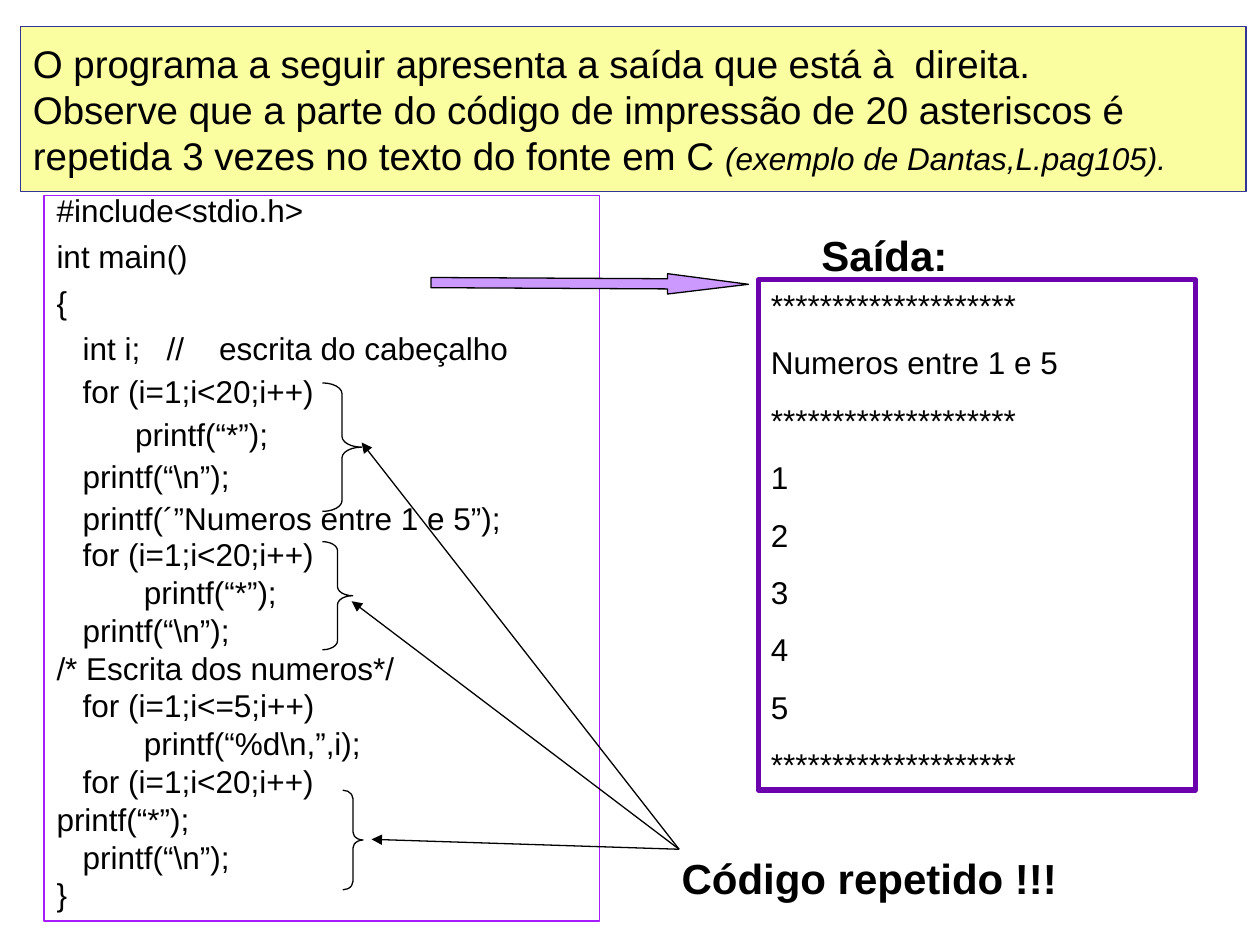
from dataclasses import dataclass

from lxml.etree import SubElement
from pptx import Presentation
from pptx.dml.color import RGBColor
from pptx.enum.shapes import MSO_CONNECTOR, MSO_SHAPE
from pptx.enum.text import MSO_ANCHOR, MSO_AUTO_SIZE, PP_ALIGN
from pptx.oxml.ns import qn
from pptx.util import Cm, Pt

COLORS = {
    "text": "000000",
    "title_fill": "FBFDA1",
    "title_line": "333399",
    "code_line": "A71CFC",
    "output_line": "6C02AE",
    "arrow": "CC99FF",
}


@dataclass
class Box:
    """Position and size in centimetres."""
    x: float
    y: float
    w: float
    h: float

    def emu(self) -> tuple:
        return Cm(self.x), Cm(self.y), Cm(self.w), Cm(self.h)


@dataclass
class Lines:
    """Paragraphs that share their spacing."""
    text: str
    spacing: float = 1.0
    before: float = 0


TITLE = """O programa a seguir apresenta a saída que está à  direita.
Observe que a parte do código de impressão de 20 asteriscos é repetida 3 vezes no texto do fonte em C """

CODE = [
    Lines("""#include<stdio.h>
int main()
{
   int i;   //    escrita do cabeçalho""", 0.7, 11.2),
    Lines(r"""   for (i=1;i<20;i++)
         printf(“*”);
   printf(“\n”);
   printf(´”Numeros entre 1 e 5”);""", 0.6, 11.2),
    Lines(r"""   for (i=1;i<20;i++)
          printf(“*”);
   printf(“\n”);
/* Escrita dos numeros*/
   for (i=1;i<=5;i++)
          printf(“%d\n,”,i);
   for (i=1;i<20;i++)
printf(“*”);
   printf(“\n”);
}"""),
]

STARS = "*" * 20
OUTPUT = [STARS, "Numeros entre 1 e 5", STARS, *"12345", STARS]

BRACES = [
    Box(6.5, 7.72, 0.79, 2.59),
    Box(6.5, 10.92, 0.61, 2.18),
    Box(6.91, 15.93, 0.41, 2.01),
]
POINTER_START = (13.69, 17.12)
POINTER_ENDS = [(7.29, 8.92), (7.09, 12.12), (7.49, 16.92)]


def color(name: str) -> RGBColor:
    return RGBColor.from_string(COLORS[name])


def add_text(p, text: str, size=18, bold=False, italic=False) -> None:
    """Add text to a paragraph, with a line break at each newline."""
    for i, line in enumerate(text.split("\n")):
        if i:
            p.add_line_break()
        r = p.add_run()
        r.text = line
        r.font.name = "Arial"
        r.font.size = Pt(size)
        r.font.bold = bold
        r.font.italic = italic
        r.font.color.rgb = color("text")


def set_line(sp, name: str, width=0.75) -> None:
    sp.line.color.rgb = color(name)
    sp.line.width = Pt(width)


def add_textbox(s, box: Box, groups: list[Lines], **fmt):
    sp = s.shapes.add_textbox(*box.emu())
    tf = sp.text_frame
    tf.word_wrap = True
    first = True
    for group in groups:
        for line in group.text.split("\n"):
            p = tf.paragraphs[0] if first else tf.add_paragraph()
            p.line_spacing = group.spacing
            p.space_before = Pt(0 if first else group.before)
            add_text(p, line, **fmt)
            first = False
    return sp


def add_preset(s, kind: MSO_SHAPE, box: Box, adjustments: list[float]):
    sp = s.shapes.add_shape(kind, *box.emu())
    sp.shadow.inherit = False
    sp.fill.background()
    set_line(sp, "text")
    for i, value in enumerate(adjustments):
        sp.adjustments[i] = value
    return sp


def add_pointer(s, start: tuple, end: tuple) -> None:
    ends = [Cm(v) for v in (*start, *end)]
    line = s.shapes.add_connector(MSO_CONNECTOR.STRAIGHT, *ends)
    set_line(line, "text")
    SubElement(line.line._get_or_add_ln(), qn("a:tailEnd"), type="triangle")
    SubElement(line._element.spPr, qn("a:effectLst"))


def add_title(s, box: Box) -> None:
    sp = s.shapes.title
    sp.left, sp.top, sp.width, sp.height = box.emu()
    sp.fill.solid()
    sp.fill.fore_color.rgb = color("title_fill")
    set_line(sp, "title_line")
    tf = sp.text_frame
    tf.auto_size = MSO_AUTO_SIZE.NONE
    tf.word_wrap = True
    tf.vertical_anchor = MSO_ANCHOR.MIDDLE
    p = tf.paragraphs[0]
    p.alignment = PP_ALIGN.LEFT
    add_text(p, TITLE, size=22)
    add_text(p, "(exemplo de Dantas,L.pag105).", italic=True)


def main() -> None:
    prs = Presentation()
    prs.slide_width, prs.slide_height = Cm(25.4), Cm(19.05)
    s = prs.slides.add_slide(prs.slide_layouts[5])

    add_title(s, Box(0.41, 0.53, 24.71, 3.33))

    # Source code and its output
    code = add_textbox(s, Box(0.89, 3.94, 11.2, 14.63), CODE)
    set_line(code, "code_line")
    arrow = add_preset(s, MSO_SHAPE.RIGHT_ARROW, Box(8.69, 5.51, 6.4, 0.41), [0.5, 3.98])
    arrow.fill.solid()
    arrow.fill.fore_color.rgb = color("arrow")
    arrow.rotation = 0.3
    output = add_textbox(s, Box(15.29, 5.64, 8.81, 10.29),
                         [Lines("\n".join(OUTPUT), before=11.2)])
    set_line(output, "output_line", 3)

    # Repeated code: label, pointers and braces
    add_textbox(s, Box(13.49, 17.07, 10.59, 1.27), [Lines("Código repetido !!!")],
                size=24, bold=True)
    for end in POINTER_ENDS:
        add_pointer(s, POINTER_START, end)
    for box in BRACES:
        add_preset(s, MSO_SHAPE.RIGHT_BRACE, box, [box.h / 12 / box.w, 0.5])

    # Output heading
    add_textbox(s, Box(16.31, 4.5, 3.81, 1.27), [Lines("Saída:")], size=24, bold=True)

    prs.save("out.pptx")


if __name__ == "__main__":
    main()
